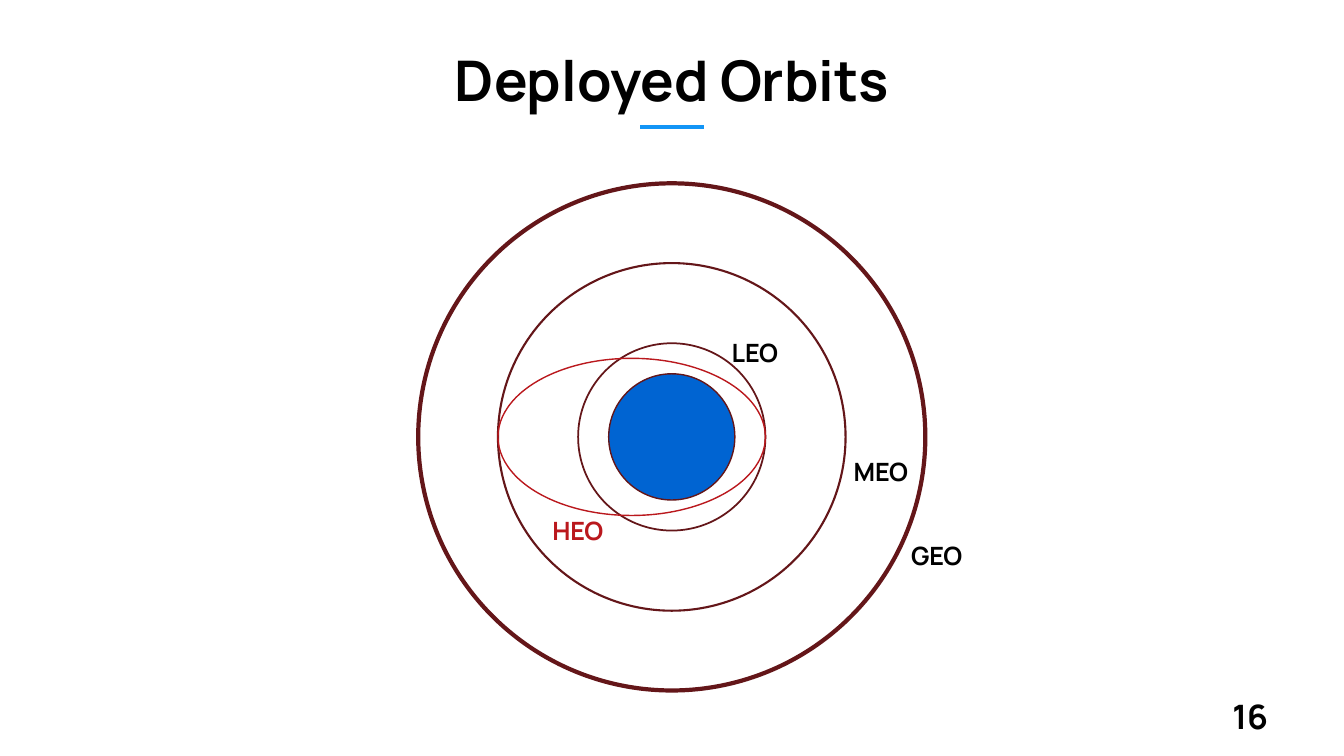
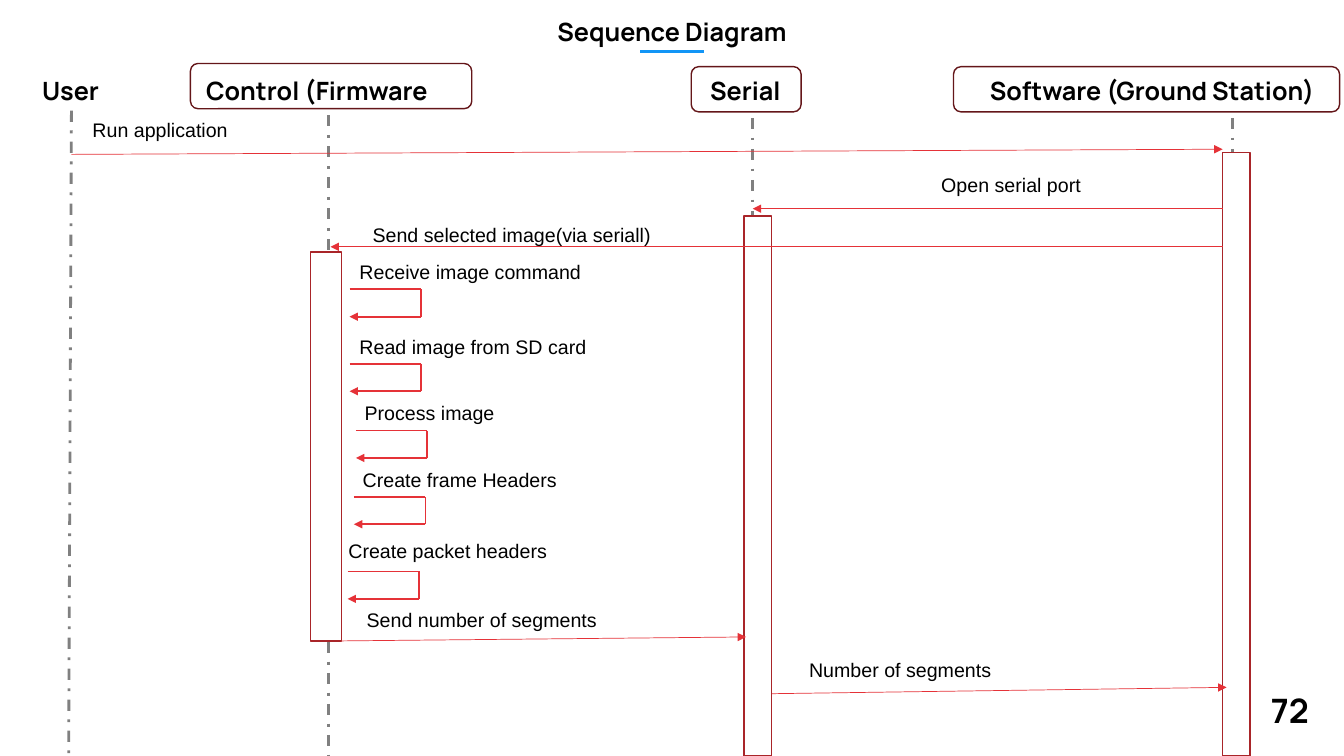
from dataclasses import dataclass

from lxml.etree import SubElement
from pptx import Presentation
from pptx.dml.color import RGBColor
from pptx.enum.dml import MSO_LINE
from pptx.enum.shapes import MSO_CONNECTOR, MSO_SHAPE
from pptx.enum.text import MSO_ANCHOR, MSO_AUTO_SIZE, PP_ALIGN
from pptx.oxml.ns import qn
from pptx.util import Cm, Pt


@dataclass(frozen=True)
class Theme:
    """Colours, fonts and type sizes of the deck."""
    ink: str = "000000"
    white: str = "FFFFFF"
    accent: str = "1295F6"
    earth: str = "0064D2"
    maroon: str = "641619"
    red: str = "BA181D"
    bar: str = "A92529"
    arrow: str = "E53238"
    grey: str = "808080"
    head: str = "Manrope"
    body: str = "Arial"
    title: int = 40
    page: int = 24
    label: int = 18
    message: int = 14


@dataclass(frozen=True)
class Box:
    """A region of a slide, in centimetres."""
    x: float
    y: float
    w: float
    h: float


@dataclass(frozen=True)
class Actor:
    """A boxed participant; x values from the region's left, y from its top."""
    name: str
    x: float
    y: float
    w: float
    indent: float
    drop: float
    line_x: float
    line_y: float
    bar_x: float
    bar_y: float
    bar_w: float
    bar_end: float


T = Theme()
SLIDE_W, SLIDE_H = 33.87, 19.05
RULE_W = 1.6
TITLE_W = 19.9
HEADER_H = 1.14
LOOP_W, LOOP_H = 1.8, 0.69

# Orbit name: diameter, line width, label offset from the centre
ORBITS = {
    "LEO": (4.72, 1.25, 1.26, -2.63),
    "MEO": (8.76, 1.5, 4.33, 0.37),
    "GEO": (12.78, 3, 5.78, 2.48),
}
EARTH_D = 3.18
HEO_H = 3.96

ACTORS = [
    Actor("Control (Firmware", 4.8, 0, 7.09, 0.34, 0.24,
          8.28, 1.3, 7.82, 4.75, 0.79, 14.55),
    Actor("Serial", 17.42, 0.08, 2.77, 0.42, 0.08,
          18.97, 1.37, 18.75, 3.84, 0.69, 17.45),
    Actor("Software (Ground Station)", 24.03, 0.08, 9.73, 0.86, 0.08,
          31.06, 1.37, 30.81, 2.24, 0.69, 17.45),
]

# Message: text, text position, arrow start, arrow end
MESSAGES = [
    ("Run application", (2.08, 1.24), (1.8, 2.29), (30.81, 2.16)),
    ("Open serial port", (23.47, 2.64), (30.81, 3.66), (18.97, 3.66)),
    ("Send selected image(via seriall)", (9.14, 3.89), (30.81, 4.62), (8.33, 4.62)),
    ("Send number of segments", (8.99, 13.59), (8.61, 14.55), (18.8, 14.45)),
    ("Number of segments", (20.14, 14.86), (19.46, 15.88), (30.91, 15.72)),
]

# Self call: text, text position, top left of the loop
SELF_CALLS = [
    ("Receive image command", (8.81, 4.83), (8.81, 5.69)),
    ("Read image from SD card", (8.81, 6.71), (8.81, 7.57)),
    ("Process image", (8.94, 8.38), (8.97, 9.25)),
    ("Create frame Headers", (8.89, 10.06), (8.92, 10.92)),
    ("Create packet headers", (8.53, 11.86), (8.76, 12.8)),
]


def rgb(color):
    return RGBColor.from_string(color)


def set_text(tf, text, size, font=T.head, color=T.ink, bold=True,
             align=PP_ALIGN.LEFT):
    tf.text = text
    tf.word_wrap = True
    tf.auto_size = MSO_AUTO_SIZE.NONE
    p = tf.paragraphs[0]
    p.alignment = align
    f = p.runs[0].font
    f.size, f.name, f.bold = Pt(size), font, bold
    f.color.rgb = rgb(color)


def add_text(s, text, x, y, w, h, size, **style):
    sp = s.shapes.add_textbox(Cm(x), Cm(y), Cm(w), Cm(h))
    set_text(sp.text_frame, text, size, **style)


def add_outline(s, kind, x, y, w, h, line, width=1, fill=None):
    sp = s.shapes.add_shape(kind, Cm(x), Cm(y), Cm(w), Cm(h))
    sp.shadow.inherit = False
    if fill:
        sp.fill.solid()
        sp.fill.fore_color.rgb = rgb(fill)
    else:
        sp.fill.background()
    sp.line.color.rgb = rgb(line)
    sp.line.width = Pt(width)
    return sp


def add_line(s, start, end, color, width, dash=None, arrow=False):
    cx = s.shapes.add_connector(MSO_CONNECTOR.STRAIGHT,
                                *(Cm(v) for v in (*start, *end)))
    cx.line.color.rgb = rgb(color)
    cx.line.width = Pt(width)
    if dash:
        cx.line.dash_style = dash
    if arrow:
        SubElement(cx.line._get_or_add_ln(), qn("a:tailEnd"), type="triangle")
    SubElement(cx._element.spPr, qn("a:effectLst"))


def add_slide(prs, title, size, title_y, title_h, rule_y, page, page_x, page_y):
    """Start a slide with its title, accent rule and page number."""
    s = prs.slides.add_slide(prs.slide_layouts[5])
    mid = SLIDE_W / 2
    sp = s.shapes.title
    sp.left, sp.top = Cm(mid - TITLE_W / 2), Cm(title_y)
    sp.width, sp.height = Cm(TITLE_W), Cm(title_h)
    set_text(sp.text_frame, title, size, align=PP_ALIGN.CENTER)
    sp.text_frame.vertical_anchor = MSO_ANCHOR.MIDDLE
    add_line(s, (mid - RULE_W / 2, rule_y), (mid + RULE_W / 2, rule_y),
             T.accent, 2.25)
    add_text(s, page, page_x, page_y, 2, 1.27, T.page)
    return s


def draw_orbits(s, box):
    """Concentric orbits, centred in the box."""
    cx, cy = box.x + box.w / 2, box.y + box.h / 2

    def circle(d, width, fill=None):
        add_outline(s, MSO_SHAPE.OVAL, cx - d / 2, cy - d / 2, d, d,
                    T.maroon, width, fill)

    def label(text, dx, dy, color=T.ink):
        add_text(s, text, cx + dx, cy + dy, 2.2, 1.02, T.label, color=color)

    circle(EARTH_D, 1, T.earth)
    for name, (d, width, dx, dy) in ORBITS.items():
        circle(d, width)
        label(name, dx, dy)

    # The elliptical orbit touches MEO on the left and LEO on the right
    left, right = ORBITS["MEO"][0] / 2, ORBITS["LEO"][0] / 2
    add_outline(s, MSO_SHAPE.OVAL, cx - left, cy - HEO_H / 2,
                left + right, HEO_H, T.red)
    label("HEO", -3.26, 1.84, T.red)


def draw_sequence(s, box):
    """Sequence diagram, with all parts measured from the box corner."""
    def at(x, y):
        return box.x + x, box.y + y

    def lifeline(x, y, end_x):
        add_line(s, at(x, y), at(end_x, box.h), T.grey, 2, MSO_LINE.DASH_DOT)

    def caption(text, pos):
        add_text(s, text, *at(*pos), 8, 0.86, T.message, font=T.body, bold=False)

    # Participants and lifelines
    add_text(s, "User", *at(0.81, 0.18), 2.2, 1.02, T.label)
    lifeline(1.8, 1.19, 1.73)
    for a in ACTORS:
        lifeline(a.line_x, a.line_y, a.line_x)
        sp = add_outline(s, MSO_SHAPE.ROUNDED_RECTANGLE, *at(a.x, a.y),
                         a.w, HEADER_H, T.maroon)
        tf = sp.text_frame
        set_text(tf, a.name, T.label)
        tf.vertical_anchor = MSO_ANCHOR.MIDDLE
        tf.margin_left, tf.margin_top = Cm(a.indent), Cm(a.drop)
        tf.margin_right = tf.margin_bottom = 0

    # Activation bars
    for a in ACTORS:
        add_outline(s, MSO_SHAPE.RECTANGLE, *at(a.bar_x, a.bar_y), a.bar_w,
                    a.bar_end - a.bar_y, T.bar, fill=T.white)

    # Messages between participants
    for text, pos, start, end in MESSAGES:
        add_line(s, at(*start), at(*end), T.arrow, 0.5, arrow=True)
        caption(text, pos)

    # Self calls of the firmware
    for text, pos, (x, y) in SELF_CALLS:
        corners = [at(x, y), at(x + LOOP_W, y),
                   at(x + LOOP_W, y + LOOP_H), at(x, y + LOOP_H)]
        for i in range(3):
            add_line(s, corners[i], corners[i + 1], T.arrow, 1.25, arrow=i == 2)
        caption(text, pos)


def main():
    prs = Presentation()
    prs.slide_width, prs.slide_height = Cm(SLIDE_W), Cm(SLIDE_H)

    s = add_slide(prs, "Deployed Orbits", T.title, 1.02, 1.96, 3.2,
                  "16", 30.81, 17.42)
    draw_orbits(s, Box(10.54, 4.62, 12.78, 12.78))

    s = add_slide(prs, "Sequence Diagram", T.label, 0.28, 1.02, 1.3,
                  "72", 31.78, 17.27)
    draw_sequence(s, Box(0, 1.6, SLIDE_W, 17.45))

    prs.save("out.pptx")


if __name__ == "__main__":
    main()
